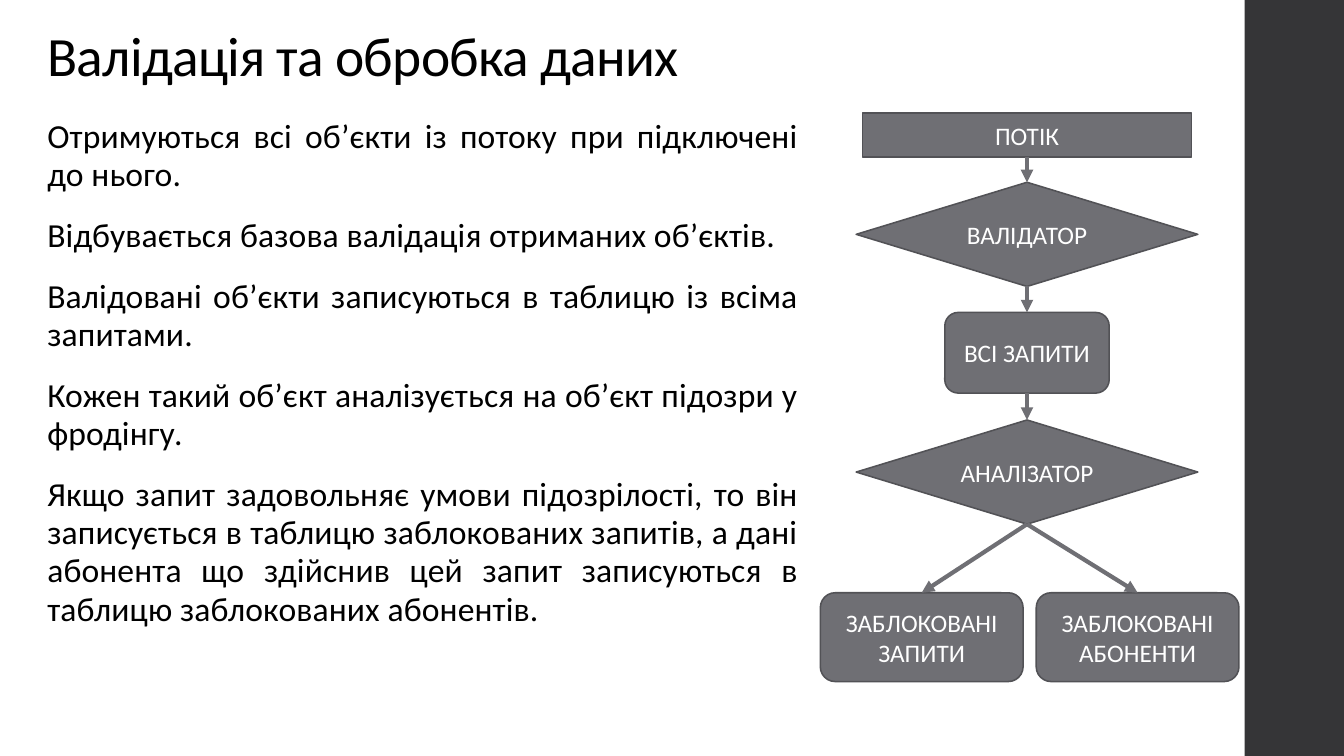
import pptx
import pptx.util
import pptx.dml.color
import pptx.enum.shapes
import pptx.enum.text
import pptx.oxml
import pptx.oxml.ns

Pt = pptx.util.Pt
Kind = pptx.enum.shapes.MSO_SHAPE
Align = pptx.enum.text.PP_ALIGN
Anchor = pptx.enum.text.MSO_ANCHOR
qn = pptx.oxml.ns.qn


def tint(part, code):
    part.rgb = pptx.dml.color.RGBColor.from_string(code)


def style(para, size, code, gap=None):
    for run in para.runs:
        run.font.size = Pt(size)
        run.font.name = "Calibri"
        tint(run.font.color, code)
        if gap is not None:
            run._r.get_or_add_rPr().set("spc", str(gap))


deck = pptx.Presentation()
deck.slide_width = Pt(960)
deck.slide_height = Pt(540)
slide = deck.slides.add_slide(deck.slide_layouts[1])
shapes = slide.shapes

band = shapes.add_shape(Kind.RECTANGLE, Pt(889), 0, Pt(71), Pt(540))
band.shadow.inherit = False
band.fill.solid()
tint(band.fill.fore_color, "353537")
band.line.fill.background()

title = shapes.title
title.left, title.top, title.width, title.height = Pt(26.6), Pt(15.1), Pt(763), Pt(51.8)
frame = title.text_frame
frame.text = "Валідація та обробка даних"
frame.vertical_anchor = Anchor.BOTTOM
frame.auto_size = pptx.enum.text.MSO_AUTO_SIZE.NONE
head = frame.paragraphs[0]
head.alignment = Align.LEFT
head.line_spacing = 0.9
style(head, 39.6, "000000", -50)

body = slide.placeholders[1]
body.left, body.top, body.width, body.height = Pt(26.6), Pt(80.6), Pt(551), Pt(431)
frame = body.text_frame
frame.text = "\n".join([
    "Отримуються всі об’єкти із потоку при підключені до нього.",
    "Відбувається базова валідація отриманих об’єктів.",
    "Валідовані об’єкти записуються в таблицю із всіма запитами.",
    "Кожен такий об’єкт аналізується на об’єкт підозри у фродінгу.",
    "Якщо запит задовольняє умови підозрілості, то він записується в таблицю "
    "заблокованих запитів, а дані абонента що здійснив цей запит записуються "
    "в таблицю заблокованих абонентів.",
])
frame.auto_size = pptx.enum.text.MSO_AUTO_SIZE.NONE
for para in frame.paragraphs:
    para.alignment = Align.JUSTIFY
    para.line_spacing = 0.95
    para.space_before = Pt(14)
    para.space_after = Pt(2)
    style(para, 24, "000000", 10)
    props = para._p.get_or_add_pPr()
    props.set("marL", "0")
    props.set("indent", "0")
    props.append(props.makeelement(qn("a:buNone"), {}))

mid = 733.6
steps = [
    ("ПОТІК", Kind.RECTANGLE, mid, 80.6, 234.8, 31.8),
    ("ВАЛІДАТОР", Kind.DIAMOND, mid, 130.2, 244, 74.4),
    ("ВСІ ЗАПИТИ", Kind.ROUNDED_RECTANGLE, mid, 223.2, 117.4, 57.6),
    ("АНАЛІЗАТОР", Kind.DIAMOND, mid, 300, 244, 74.4),
    ("ЗАБЛОКОВАНІ ЗАПИТИ", Kind.ROUNDED_RECTANGLE, 658.4, 423.4, 144.8, 63.4),
    ("ЗАБЛОКОВАНІ АБОНЕНТИ", Kind.ROUNDED_RECTANGLE, 812.6, 423.4, 144.8, 63.4),
]
nodes = []
for label, kind, x, y, wide, high in steps:
    node = shapes.add_shape(kind, Pt(x - wide / 2), Pt(y), Pt(wide), Pt(high))
    node.shadow.inherit = False
    node.fill.solid()
    tint(node.fill.fore_color, "6F6F74")
    tint(node.line.color, "525256")
    node.line.width = Pt(1.1)
    frame = node.text_frame
    frame.text = label
    frame.word_wrap = True
    frame.vertical_anchor = Anchor.MIDDLE
    frame.paragraphs[0].alignment = Align.CENTER
    style(frame.paragraphs[0], 18, "FFFFFF")
    nodes.append(node)

for start, end in [(0, 1), (1, 2), (2, 3), (3, 4), (3, 5)]:
    link = shapes.add_connector(pptx.enum.shapes.MSO_CONNECTOR.STRAIGHT, 0, 0, 0, 0)
    link.begin_connect(nodes[start], 2)
    link.end_connect(nodes[end], 0)
    tint(link.line.color, "6F6F74")
    link.line.width = Pt(3)
    props = link._element.spPr
    edge = props.find(qn("a:ln"))
    edge.append(edge.makeelement(qn("a:tailEnd"), {"type": "triangle"}))
    props.append(props.makeelement(qn("a:effectLst"), {}))

deck.save("out.pptx")
